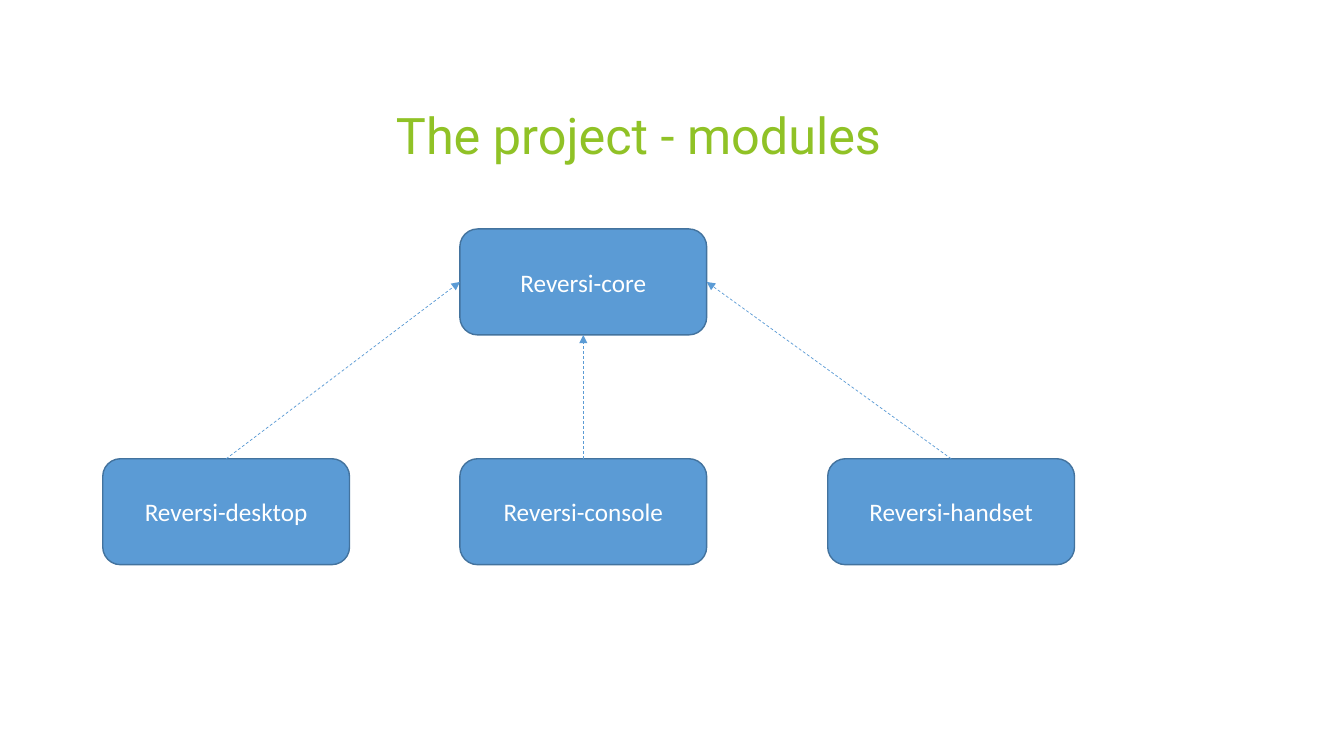
from dataclasses import dataclass

from lxml import etree
from pptx import Presentation
from pptx import util as u
from pptx.dml.color import RGBColor
from pptx.enum import dml, shapes, text
from pptx.oxml import ns
from pptx.shapes.autoshape import Shape
from pptx.slide import Slide
from pptx.text.text import TextFrame

COLORS = {"title": "90C226", "blue": "5B9BD5", "outline": "43739E", "label": "FFFFFF"}
MODULE_WIDTH, MODULE_HEIGHT = u.Cm(6.22), u.Cm(2.67)
TOP, LEFT, BOTTOM, RIGHT = range(4)


@dataclass(frozen=True)
class Module:
    name: str
    left: float
    top: float


@dataclass(frozen=True)
class Dependency:
    module: Module
    core_side: int


CORE = Module("Reversi-core", 11.59, 5.77)
DEPENDENCIES = [
    Dependency(Module("Reversi-desktop", 2.59, 11.56), LEFT),
    Dependency(Module("Reversi-console", 11.59, 11.56), BOTTOM),
    Dependency(Module("Reversi-handset", 20.86, 11.56), RIGHT),
]


def color(name: str) -> RGBColor:
    return RGBColor.from_string(COLORS[name])


def write(frame: TextFrame, content: str, font: str, size: float,
          color_name: str, alignment: text.PP_ALIGN) -> None:
    frame.word_wrap = True
    frame.vertical_anchor = text.MSO_ANCHOR.MIDDLE
    paragraph = frame.paragraphs[0]
    paragraph.alignment = alignment
    run = paragraph.add_run()
    run.text = content
    run.font.name = font
    run.font.size = u.Pt(size)
    run.font.color.rgb = color(color_name)


def draw_title(slide: Slide) -> None:
    title = slide.shapes.add_textbox(u.Cm(9.73), u.Cm(1.65), u.Cm(19.61), u.Cm(3.68))
    write(title.text_frame, "The project - modules", "Roboto", 36, "title",
          text.PP_ALIGN.LEFT)
    title.text_frame.paragraphs[0].line_spacing = 0.9


def draw_module(slide: Slide, module: Module) -> Shape:
    shape = slide.shapes.add_shape(
        shapes.MSO_SHAPE.ROUNDED_RECTANGLE,
        u.Cm(module.left), u.Cm(module.top), MODULE_WIDTH, MODULE_HEIGHT)
    shape.shadow.inherit = False
    shape.fill.solid()
    shape.fill.fore_color.rgb = color("blue")
    shape.line.color.rgb = color("outline")
    shape.line.width = u.Pt(1)
    write(shape.text_frame, module.name, "Calibri", 18, "label", text.PP_ALIGN.CENTER)
    return shape


def draw_arrow(slide: Slide, source: Shape, target: Shape, target_side: int) -> None:
    connector = slide.shapes.add_connector(shapes.MSO_CONNECTOR.STRAIGHT, 0, 0, 0, 0)
    connector.begin_connect(source, TOP)
    connector.end_connect(target, target_side)
    connector.line.color.rgb = color("blue")
    connector.line.width = u.Pt(0.5)
    connector.line.dash_style = dml.MSO_LINE.DASH
    properties = connector._element.spPr
    etree.SubElement(properties.find(ns.qn("a:ln")), ns.qn("a:tailEnd"), type="triangle")
    etree.SubElement(properties, ns.qn("a:effectLst"))


def main() -> None:
    presentation = Presentation()
    presentation.slide_width, presentation.slide_height = u.Cm(33.87), u.Cm(19.05)
    slide = presentation.slides.add_slide(presentation.slide_layouts[6])
    draw_title(slide)
    core = draw_module(slide, CORE)
    for dependency in DEPENDENCIES:
        module = draw_module(slide, dependency.module)
        draw_arrow(slide, module, core, dependency.core_side)
    presentation.save("out.pptx")


if __name__ == "__main__":
    main()
